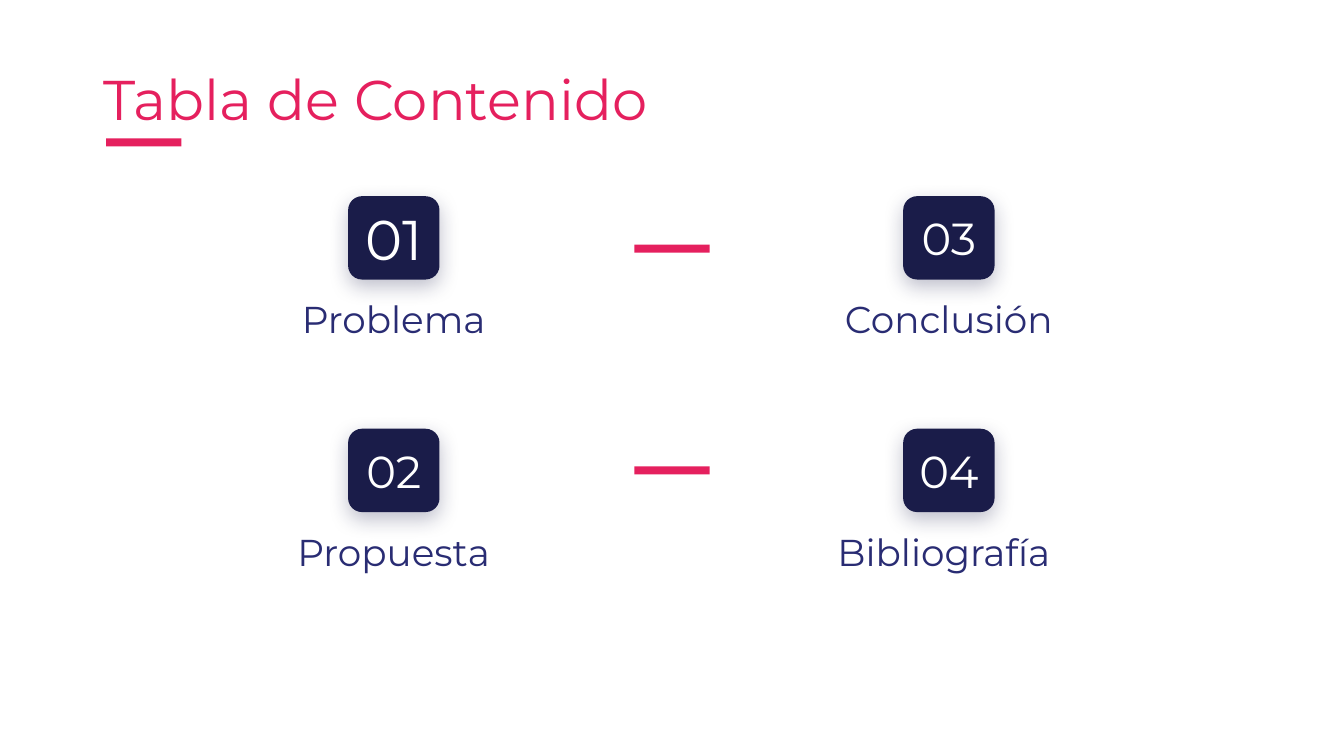
from dataclasses import dataclass

from lxml.etree import SubElement
from pptx import Presentation
from pptx.dml.color import RGBColor
from pptx.enum.shapes import MSO_SHAPE
from pptx.enum.text import MSO_ANCHOR, MSO_AUTO_SIZE, PP_ALIGN
from pptx.oxml.ns import qn
from pptx.shapes.autoshape import Shape
from pptx.slide import Slide
from pptx.util import Inches, Pt

PINK = RGBColor(0xE5, 0x20, 0x5E)
NAVY = RGBColor(0x1A, 0x1C, 0x49)
INDIGO = RGBColor(0x29, 0x2C, 0x73)
WHITE = RGBColor(0xFF, 0xFF, 0xFF)
FONT = "Montserrat"

TILE_WIDTH, TILE_HEIGHT = 0.68, 0.62
COLUMN_CENTERS = (2.93, 7.06)
ROW_TOPS = (1.46, 3.19)
CAPTION_OFFSET, CAPTION_HEIGHT = 0.56, 0.62
DASH_WIDTH, DASH_HEIGHT = 0.56, 0.06
DASH_POSITIONS = ((0.79, 1.03), (4.72, 1.82), (4.72, 3.47))


@dataclass(frozen=True)
class Section:
    number: str
    caption: str
    column: int
    row: int
    number_width: float
    number_height: float
    caption_width: float
    number_size: int = 24


SECTIONS = (
    Section("01", "Problema", 0, 0, 0.84, 0.39, 2.96, number_size=30),
    Section("02", "Propuesta", 0, 1, 1.51, 0.32, 2.5),
    Section("03", "Conclusión", 1, 0, 0.68, 0.39, 2.6),
    Section("04", "Bibliografía ", 1, 1, 1.51, 0.32, 2.6),
)


def write_text(shape: Shape, text: str, size: int, color: RGBColor,
               align: PP_ALIGN, anchor: MSO_ANCHOR) -> None:
    frame = shape.text_frame
    frame.text = text
    frame.word_wrap = True
    frame.auto_size = MSO_AUTO_SIZE.NONE
    frame.vertical_anchor = anchor
    frame.margin_left = frame.margin_right = Inches(0.1)
    frame.margin_top = frame.margin_bottom = Inches(0.1)
    paragraph = frame.paragraphs[0]
    paragraph.alignment = align
    paragraph.font.name = FONT
    paragraph.font.size = Pt(size)
    paragraph.font.color.rgb = color


def add_filled_shape(slide: Slide, kind: MSO_SHAPE, left: float, top: float,
                     width: float, height: float, color: RGBColor) -> Shape:
    shape = slide.shapes.add_shape(
        kind, Inches(left), Inches(top), Inches(width), Inches(height))
    shape.shadow.inherit = False
    shape.fill.solid()
    shape.fill.fore_color.rgb = color
    shape.line.fill.background()
    return shape


def add_soft_shadow(shape: Shape) -> None:
    effects = shape._element.spPr.find(qn("a:effectLst"))
    shadow = SubElement(
        effects, qn("a:outerShdw"), blurRad=str(Pt(11.2)), dist=str(Pt(3.8)),
        dir="5400000", algn="bl", rotWithShape="0")
    color = SubElement(shadow, qn("a:srgbClr"), val=str(NAVY))
    SubElement(color, qn("a:alpha"), val="28000")


def add_label(slide: Slide, text: str, center: float, top: float, width: float,
              height: float, size: int, color: RGBColor,
              anchor: MSO_ANCHOR) -> None:
    label = slide.shapes.add_textbox(
        Inches(center - width / 2), Inches(top), Inches(width), Inches(height))
    write_text(label, text, size, color, PP_ALIGN.CENTER, anchor)


def add_section(slide: Slide, section: Section) -> None:
    """Draw a numbered tile with its caption below."""
    center, top = COLUMN_CENTERS[section.column], ROW_TOPS[section.row]
    tile = add_filled_shape(slide, MSO_SHAPE.ROUNDED_RECTANGLE,
                            center - TILE_WIDTH / 2, top,
                            TILE_WIDTH, TILE_HEIGHT, NAVY)
    add_soft_shadow(tile)
    number_top = top + (TILE_HEIGHT - section.number_height) / 2
    add_label(slide, section.number, center, number_top, section.number_width,
              section.number_height, section.number_size, WHITE,
              MSO_ANCHOR.MIDDLE)
    add_label(slide, section.caption, center, top + CAPTION_OFFSET,
              section.caption_width, CAPTION_HEIGHT, 20, INDIGO,
              MSO_ANCHOR.BOTTOM)


def main() -> None:
    presentation = Presentation()
    presentation.slide_width = Inches(10)
    presentation.slide_height = Inches(10 * 9 / 16)
    slide = presentation.slides.add_slide(presentation.slide_layouts[5])

    title = slide.shapes.title
    title.left, title.top = Inches(0.67), Inches(0.38)
    title.width, title.height = Inches(7.69), Inches(0.69)
    write_text(title, "Tabla de Contenido", 30, PINK, PP_ALIGN.LEFT,
               MSO_ANCHOR.TOP)

    for section in SECTIONS:
        add_section(slide, section)
    for left, top in DASH_POSITIONS:
        add_filled_shape(slide, MSO_SHAPE.RECTANGLE, left, top,
                         DASH_WIDTH, DASH_HEIGHT, PINK)

    presentation.save("out.pptx")


if __name__ == "__main__":
    main()
